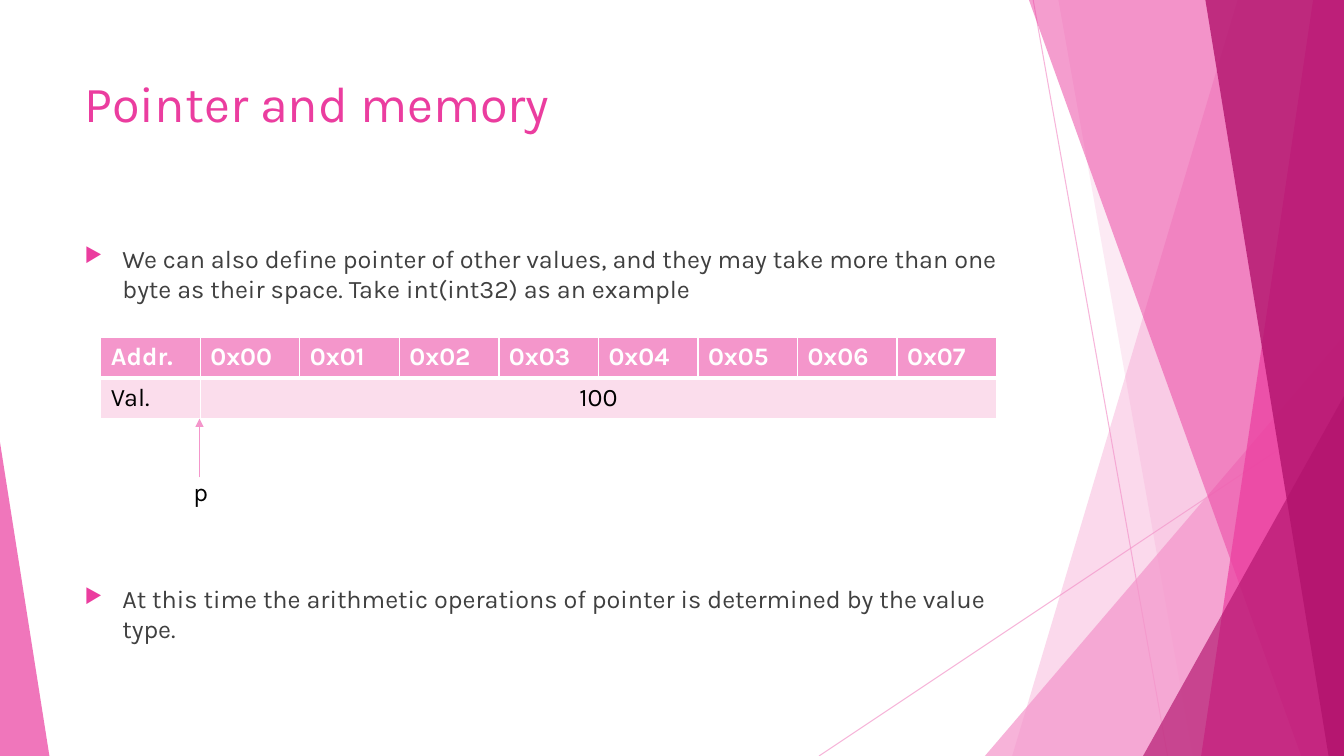
from lxml.etree import SubElement
from pptx import Presentation
from pptx.dml.color import RGBColor
from pptx.enum.shapes import MSO_CONNECTOR, MSO_SHAPE
from pptx.enum.text import MSO_ANCHOR, PP_ALIGN
from pptx.oxml.ns import qn
from pptx.util import Pt

COLORS = {
    "light": "F496CB", "pink": "EB3D9F", "dark": "B2136D",
    "pale": "FBDDEC", "white": "FFFFFF", "black": "000000", "gray": "404040",
}
WIDTH, HEIGHT = 960, 540


def write(paragraph, text, size=18, color="black", bold=False, align=PP_ALIGN.LEFT, before=0):
    paragraph.alignment = align
    paragraph.space_before = Pt(before)
    run = paragraph.add_run()
    run.text = text
    run.font.name = "Karla"
    run.font.size = Pt(size)
    run.font.bold = bold
    run.font.color.rgb = RGBColor.from_string(COLORS[color])


class SlideBuilder:
    def __init__(self, slide):
        self.slide = slide
        self.shapes = slide.shapes

    def set_alpha(self, fill_element, percent):
        color = next(fill_element.iter(qn("a:srgbClr")))
        SubElement(color, qn("a:alpha"), val=str(percent * 1000))

    def paint(self, shape, color, opacity):
        shape.shadow.inherit = False
        shape.line.fill.background()
        shape.fill.solid()
        shape.fill.fore_color.rgb = RGBColor.from_string(COLORS[color])
        self.set_alpha(shape._element.spPr.find(qn("a:solidFill")), opacity)

    def band(self, top_left, bottom_left, color, opacity):
        builder = self.shapes.build_freeform(Pt(top_left), 0, scale=1.0)
        corners = [(WIDTH, 0), (WIDTH, HEIGHT), (bottom_left, HEIGHT)]
        builder.add_line_segments([(Pt(x), Pt(y)) for x, y in corners])
        self.paint(builder.convert_to_shape(), color, opacity)

    def triangle(self, left, top, width, apex, color, opacity):
        shape = self.shapes.add_shape(
            MSO_SHAPE.ISOSCELES_TRIANGLE, Pt(left), Pt(top), Pt(width), Pt(HEIGHT - top))
        shape.adjustments[0] = apex
        self.paint(shape, color, opacity)

    def line(self, start, end, weight, opacity=100, arrow=False):
        connector = self.shapes.add_connector(
            MSO_CONNECTOR.STRAIGHT, *(Pt(value) for value in start + end))
        connector.line.width = Pt(weight)
        connector.line.color.rgb = RGBColor.from_string(COLORS["light"])
        properties = connector._element.spPr
        outline = properties.find(qn("a:ln"))
        self.set_alpha(outline, opacity)
        if arrow:
            SubElement(outline, qn("a:tailEnd"), type="triangle")
        SubElement(properties, qn("a:effectLst"))

    def text_box(self, left, top, width, height):
        frame = self.shapes.add_textbox(Pt(left), Pt(top), Pt(width), Pt(height)).text_frame
        frame.word_wrap = True
        return frame

    def label(self, left, top, width, height, text, **style):
        write(self.text_box(left, top, width, height).paragraphs[0], text, **style)

    def bullets(self, left, top, width, height, items):
        frame = self.text_box(left, top, width, height)
        for index, (text, before) in enumerate(items):
            paragraph = frame.add_paragraph() if index else frame.paragraphs[0]
            write(paragraph, text, color="gray", before=before)
            properties = paragraph._p.get_or_add_pPr()
            properties.set("marL", str(Pt(27)))
            properties.set("indent", str(Pt(-27)))
            bullet_color = SubElement(properties, qn("a:buClr"))
            SubElement(bullet_color, qn("a:srgbClr"), val=COLORS["pink"])
            SubElement(properties, qn("a:buSzPct"), val="80000")
            SubElement(properties, qn("a:buChar"), char="▶")

    def cell(self, cell, text, fill, bottom, **style):
        write(cell.text_frame.paragraphs[0], text, **style)
        cell.vertical_anchor = MSO_ANCHOR.TOP
        properties = cell._tc.get_or_add_tcPr()
        for side, weight in (("L", 1), ("R", 1), ("T", 1), ("B", bottom)):
            border = SubElement(properties, qn(f"a:ln{side}"), w=str(Pt(weight)))
            solid = SubElement(border, qn("a:solidFill"))
            SubElement(solid, qn("a:srgbClr"), val=COLORS["white"])
        cell.fill.solid()
        cell.fill.fore_color.rgb = RGBColor.from_string(COLORS[fill])

    def memory_table(self, left, top, width, height, addresses, value):
        headers = ["Addr."] + addresses
        table = self.shapes.add_table(
            2, len(headers), Pt(left), Pt(top), Pt(width), Pt(height)).table
        for column, header in enumerate(headers):
            table.columns[column].width = Pt(width / len(headers))
            self.cell(table.cell(0, column), header, "light", 3, color="white", bold=True)
        table.cell(1, 1).merge(table.cell(1, len(addresses)))
        self.cell(table.cell(1, 0), "Val.", "pale", 1)
        self.cell(table.cell(1, 1), value, "pale", 1, align=PP_ALIGN.CENTER)


presentation = Presentation()
presentation.slide_width = Pt(WIDTH)
presentation.slide_height = Pt(HEIGHT)
builder = SlideBuilder(presentation.slides.add_slide(presentation.slide_layouts[6]))

builder.line((738, 0), (834, HEIGHT), 0.75, opacity=70)
builder.line((WIDTH, 290), (585, HEIGHT), 0.75, opacity=70)
builder.band(884, 723, "light", 36)
builder.band(756, 852, "light", 20)
builder.triangle(703.5, 240, 256.5, 1, "light", 72)
builder.band(735, 929.5, "pink", 50)
builder.band(938, 858, "pink", 70)
builder.band(861, 949, "dark", 80)
builder.triangle(816.5, 283, 143.5, 1, "dark", 66)
builder.triangle(0, 316, 35.3, 0, "pink", 70)

builder.label(53.3, 48, 677, 104, "Pointer and memory", size=36, color="pink")
builder.bullets(53.3, 170, 677, 305, [
    ("We can also define pointer of other values, and they may take more than one "
     "byte as their space. Take int(int32) as an example", 0),
    ("At this time the arithmetic operations of pointer is determined by the value type.", 200),
])
builder.memory_table(72, 241, 640, 58, [f"0x{address:02}" for address in range(8)], "100")
builder.line((142.5, 341), (142.5, 299), 1, arrow=True)
builder.label(131, 337, 80, 29, "p")

presentation.save("out.pptx")
